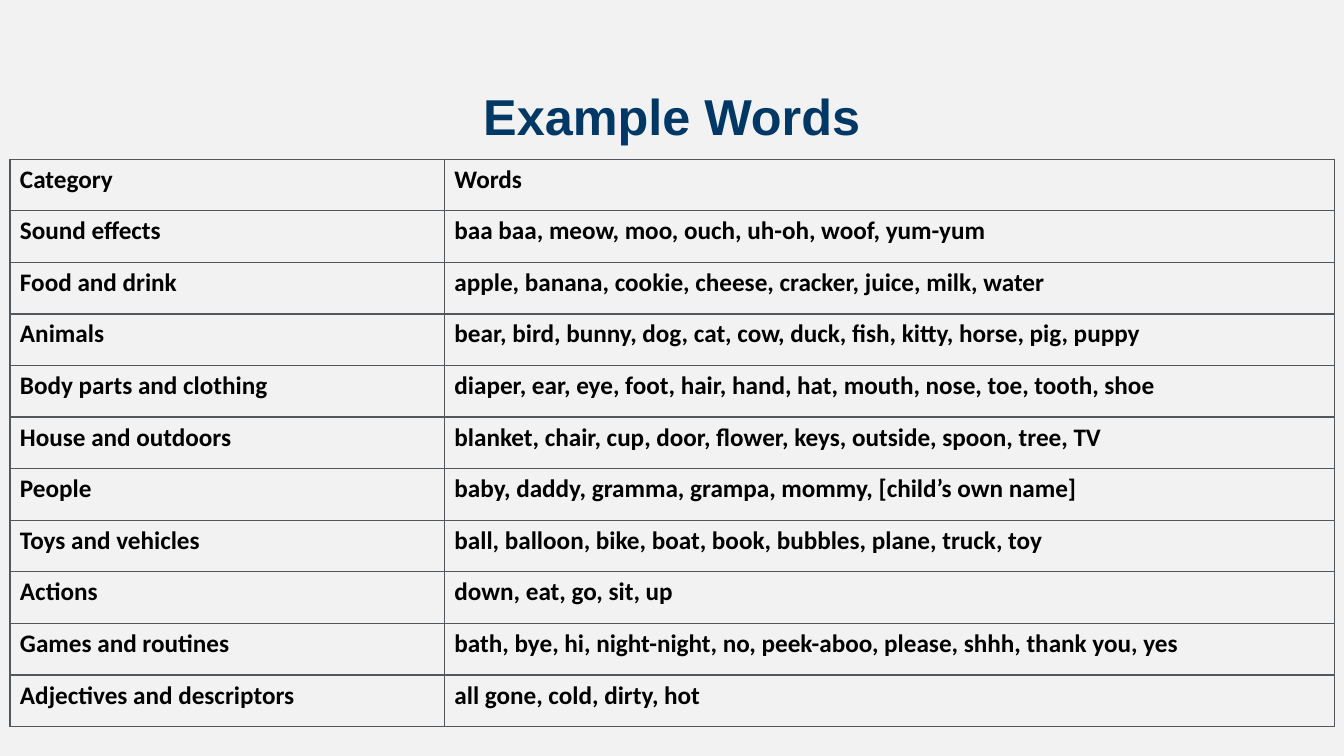
from lxml.etree import SubElement
from pptx import Presentation
from pptx.dml.color import RGBColor
from pptx.enum.text import MSO_ANCHOR, PP_ALIGN
from pptx.oxml.ns import qn
from pptx.util import Cm, Pt

COLORS = {"background": "F2F2F2", "title": "003865", "text": "000000", "border": "53565A"}

WORDS_BY_CATEGORY = [
    ("Category", "Words"),
    ("Sound effects", "baa baa, meow, moo, ouch, uh-oh, woof, yum-yum"),
    ("Food and drink", "apple, banana, cookie, cheese, cracker, juice, milk, water"),
    ("Animals", "bear, bird, bunny, dog, cat, cow, duck, fish, kitty, horse, pig, puppy"),
    ("Body parts and clothing", "diaper, ear, eye, foot, hair, hand, hat, mouth, nose, toe, tooth, shoe"),
    ("House and outdoors", "blanket, chair, cup, door, flower, keys, outside, spoon, tree, TV"),
    ("People", "baby, daddy, gramma, grampa, mommy, [child’s own name]"),
    ("Toys and vehicles", "ball, balloon, bike, boat, book, bubbles, plane, truck, toy"),
    ("Actions", "down, eat, go, sit, up"),
    ("Games and routines", "bath, bye, hi, night-night, no, peek-aboo, please, shhh, thank you, yes"),
    ("Adjectives and descriptors", "all gone, cold, dirty, hot"),
]


class SlideBuilder:
    """Holds the style and the current slide, and adds each kind of element."""

    def __init__(self, presentation):
        self.slide = presentation.slides.add_slide(presentation.slide_layouts[5])
        fill = self.slide.background.fill
        fill.solid()
        fill.fore_color.rgb = RGBColor.from_string(COLORS["background"])

    def style_runs(self, paragraph, font_name, size, color):
        for run in paragraph.runs:
            run.font.name = font_name
            run.font.size = Pt(size)
            run.font.bold = True
            run.font.color.rgb = RGBColor.from_string(COLORS[color])

    def add_title(self, text, left, top, width, height):
        title = self.slide.shapes.title
        title.left, title.top, title.width, title.height = map(Cm, (left, top, width, height))
        text_frame = title.text_frame
        text_frame.text = text
        text_frame.vertical_anchor = MSO_ANCHOR.MIDDLE
        paragraph = text_frame.paragraphs[0]
        paragraph.alignment = PP_ALIGN.CENTER
        paragraph.line_spacing = 0.9
        self.style_runs(paragraph, "Arial", 36, "title")

    def add_borders(self, cell):
        properties = cell._tc.get_or_add_tcPr()
        for side in ("a:lnL", "a:lnR", "a:lnT", "a:lnB"):
            line = SubElement(properties, qn(side), w=str(Pt(1)))
            fill = SubElement(line, qn("a:solidFill"))
            SubElement(fill, qn("a:srgbClr"), val=COLORS["border"])

    def add_table(self, rows, left, top, column_widths, row_height):
        frame = self.slide.shapes.add_table(
            len(rows), len(column_widths), Cm(left), Cm(top),
            Cm(sum(column_widths)), Cm(row_height * len(rows)))
        table = frame.table
        table.first_row = table.horz_banding = False
        for column, width in zip(table.columns, column_widths):
            column.width = Cm(width)
        for table_row, texts in zip(table.rows, rows):
            table_row.height = Cm(row_height)
            for cell, text in zip(table_row.cells, texts):
                cell.text_frame.text = text
                self.style_runs(cell.text_frame.paragraphs[0], "Calibri", 18, "text")
                self.add_borders(cell)
                cell.fill.background()


def main():
    presentation = Presentation()
    presentation.slide_width, presentation.slide_height = Cm(33.87), Cm(19.05)
    builder = SlideBuilder(presentation)
    builder.add_title("Example Words", 1.32, 1.32, 31.22, 3.38)
    builder.add_table(WORDS_BY_CATEGORY, 0.25, 4.01, (10.95, 22.43), 1.3)
    presentation.save("out.pptx")


if __name__ == "__main__":
    main()
